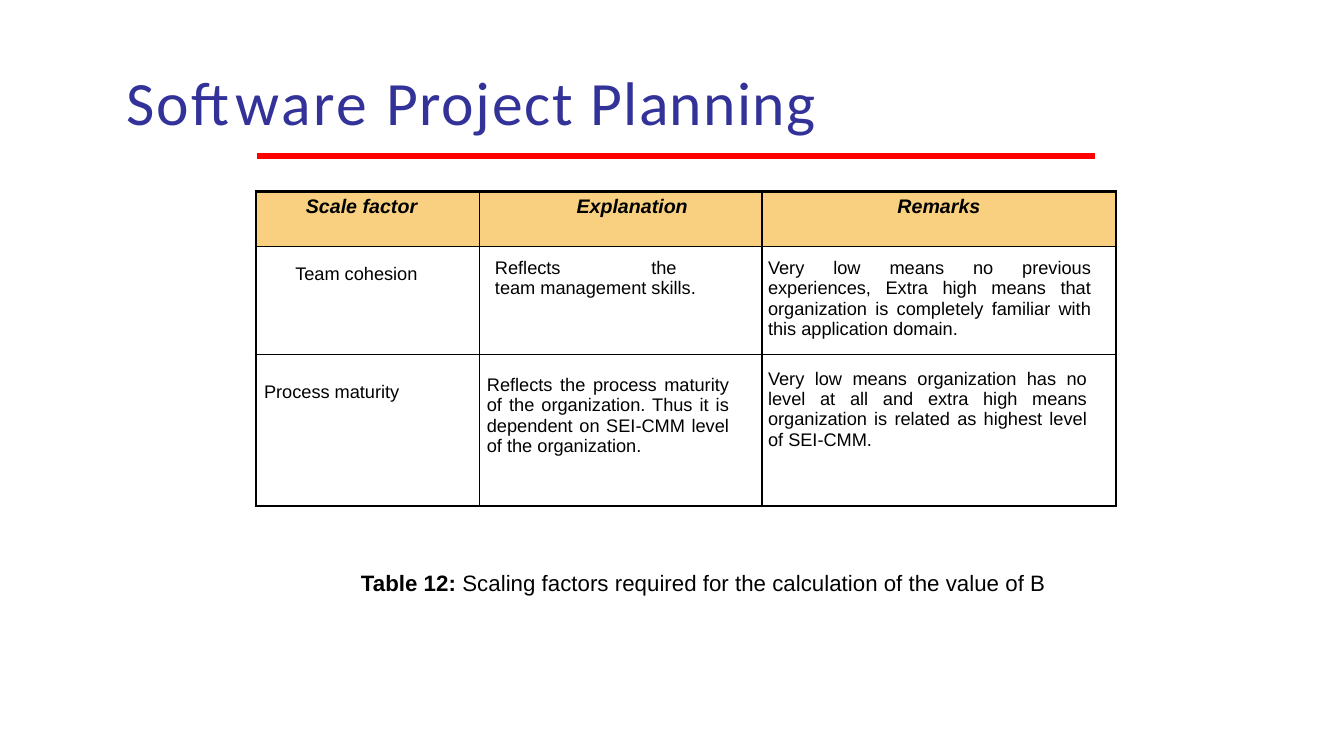
from lxml import etree
from pptx import Presentation
from pptx import util as u
from pptx.dml.color import RGBColor
from pptx.enum import shapes, text
from pptx.oxml import ns

ALIGN = text.PP_ALIGN


def color(value):
    return RGBColor.from_string(value)


def apply(target, values):
    for name, value in values.items():
        setattr(target, name, value)


class SlideBuilder:
    """Places elements on a grid of 100 columns by 100 rows."""

    ink, header_fill, title_ink, rule_ink = "000000", "F8D07F", "323299", "FF0000"
    outer_border, inner_border = 2.25, 1

    def __init__(self, presentation):
        self.width, self.height = presentation.slide_width, presentation.slide_height
        self.slide = presentation.slides.add_slide(presentation.slide_layouts[5])

    def x(self, columns):
        return u.Emu(round(self.width * columns / 100))

    def y(self, rows):
        return u.Emu(round(self.height * rows / 100))

    def box(self, left, top, width, height):
        return self.x(left), self.y(top), self.x(width), self.y(height)

    def add_words(self, paragraph, content, ink, name="Arial", spacing=None, **style):
        run = paragraph.add_run()
        run.text = content
        apply(run.font, {"name": name, **style})
        run.font.color.rgb = color(ink)
        if spacing is not None:
            run._r.get_or_add_rPr().set("spc", str(round(spacing * 100)))

    def prepare(self, frame):
        apply(frame, {"margin_left": 0, "margin_right": 0, "margin_bottom": 0,
                      "margin_top": u.Inches(0.01), "word_wrap": True,
                      "auto_size": text.MSO_AUTO_SIZE.SHAPE_TO_FIT_TEXT})
        paragraph = frame.paragraphs[0]
        paragraph.alignment = ALIGN.LEFT
        return paragraph

    def title(self, place, words):
        title = self.slide.shapes.title
        apply(title, dict(zip(("left", "top", "width", "height"), self.box(*place))))
        paragraph = self.prepare(title.text_frame)
        title.text_frame.vertical_anchor = text.MSO_ANCHOR.MIDDLE
        for word, spacing in words:
            self.add_words(paragraph, word, self.title_ink, "Calibri", spacing,
                           size=u.Pt(44))

    def caption(self, place, label, content):
        caption = self.slide.shapes.add_textbox(*self.box(*place))
        paragraph = self.prepare(caption.text_frame)
        for part, bold in ((label, True), (content, False)):
            self.add_words(paragraph, part, self.ink, size=u.Pt(15.9), bold=bold)

    def rule(self, left, right, row):
        line = self.slide.shapes.add_connector(
            shapes.MSO_CONNECTOR.STRAIGHT,
            self.x(left), self.y(row), self.x(right), self.y(row))
        line.line.color.rgb = color(self.rule_ink)
        line.line.width = u.Pt(4.5)
        etree.SubElement(line._element.spPr, ns.qn("a:effectLst"))

    def borders(self, cell, outer_sides):
        properties = cell._tc.get_or_add_tcPr()
        for position, (side, outer) in enumerate(zip("LRTB", outer_sides)):
            width = self.outer_border if outer else self.inner_border
            line = etree.Element(ns.qn("a:ln" + side), w=str(u.Pt(width)))
            fill = etree.SubElement(line, ns.qn("a:solidFill"))
            etree.SubElement(fill, ns.qn("a:srgbClr"), val=self.ink)
            properties.insert(position, line)

    def cell(self, cell, header, content, align, left=0, top=0, right=0, tabs=()):
        apply(cell, {"margin_left": self.x(left), "margin_right": self.x(right),
                     "margin_top": self.y(top), "margin_bottom": 0})
        if header:
            cell.fill.solid()
            cell.fill.fore_color.rgb = color(self.header_fill)
        else:
            cell.fill.background()
        paragraph = cell.text_frame.paragraphs[0]
        if tabs:
            tab_list = etree.SubElement(paragraph._p.get_or_add_pPr(), ns.qn("a:tabLst"))
            for stop in tabs:
                etree.SubElement(tab_list, ns.qn("a:tab"), pos=str(self.x(stop)), algn="l")
        paragraph.alignment = align
        if header:
            paragraph.line_spacing = u.Pt(18.8)
        self.add_words(paragraph, content, self.ink, size=u.Pt(14 if header else 13),
                       bold=header, italic=header)

    def table(self, left, top, widths, heights, rows):
        place = self.box(left, top, sum(widths), sum(heights))
        table = self.slide.shapes.add_table(len(heights), len(widths), *place).table
        apply(table, {"first_row": False, "horz_banding": False})
        for column, width in zip(table.columns, widths):
            column.width = self.x(width)
        for row, height in zip(table.rows, heights):
            row.height = self.y(height)
        for i, row in enumerate(rows):
            for j, values in enumerate(row):
                cell = table.cell(i, j)
                self.cell(cell, i == 0, **values)
                self.borders(cell, (j == 0, j == len(widths) - 1,
                                    i == 0, i == len(heights) - 1))


SCALE_FACTORS = [
    [
        dict(content="Scale factor", align=ALIGN.RIGHT, right=4.65),
        dict(content="Explanation", align=ALIGN.LEFT, left=7.2),
        dict(content="Remarks", align=ALIGN.CENTER),
    ],
    [
        dict(content="Team cohesion", align=ALIGN.RIGHT, top=2.27, right=4.65),
        dict(content="Reflects\tthe\tteam management skills.", align=ALIGN.LEFT,
             left=1.13, top=1.47, right=4.13, tabs=(11.63, 18.68)),
        dict(content="Very low means no previous experiences, Extra high means that "
                     "organization is completely familiar with this application domain.",
             align=ALIGN.JUSTIFY, left=0.45, top=1.47, right=1.88),
    ],
    [
        dict(content="Process maturity", align=ALIGN.LEFT, left=0.6, top=3.6),
        dict(content="Reflects the process maturity of the organization. Thus it is "
                     "dependent on SEI-CMM level of the organization.",
             align=ALIGN.JUSTIFY, left=0.53, top=2.67, right=2.48),
        dict(content="Very low means organization has no level at all and extra high "
                     "means organization is related as highest level of SEI-CMM.",
             align=ALIGN.JUSTIFY, left=0.45, top=1.87, right=2.18),
    ],
]


def main():
    presentation = Presentation()
    presentation.slide_width, presentation.slide_height = u.Inches(13.33), u.Inches(7.5)
    builder = SlideBuilder(presentation)

    # Heading and the rule under it
    builder.title((9.38, 8.27, 58, 10),
                  [("Software ", 1.7), ("Project ", 1.2), ("Planning", 1)])
    builder.rule(19.13, 81.47, 20.67)

    # Scale factor table and its caption
    builder.table(19.05, 25.33, (16.65, 21, 26.33), (7.33, 14.27, 20), SCALE_FACTORS)
    builder.caption((26.86, 75.2, 51, 3.73), "Table 12: ",
                    "Scaling factors required for the calculation of the value of B")

    presentation.save("out.pptx")


if __name__ == "__main__":
    main()
